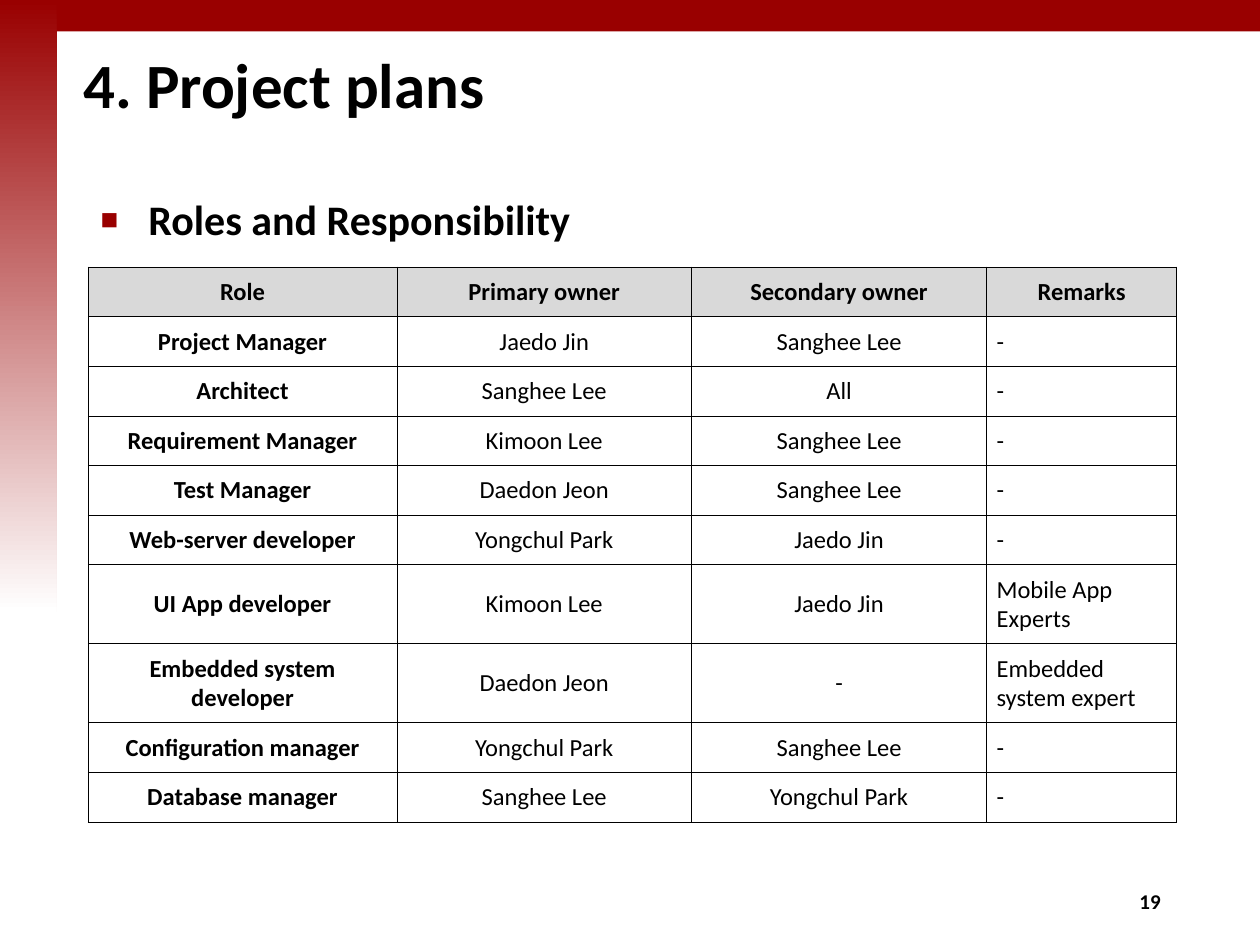
from lxml import etree
from pptx import Presentation
from pptx import util as u
from pptx.dml.color import RGBColor
from pptx.enum import shapes, text
from pptx.oxml import ns

FONT = "Calibri"
RED, BLACK, WHITE, GREY = "990000", "000000", "FFFFFF", "D9D9D9"
LEFT, CONTENT_WIDTH = 0.7, 8.64
COLUMN_WIDTHS = [2.45, 2.34, 2.34, 1.51]
ROW_HEIGHT = 0.36
CELL_MARGIN = 0.08
ROLES = [
    ("Role", "Primary owner", "Secondary owner", "Remarks"),
    ("Project Manager", "Jaedo Jin", "Sanghee Lee", "-"),
    ("Architect", "Sanghee Lee", "All", "-"),
    ("Requirement Manager", "Kimoon Lee", "Sanghee Lee", "-"),
    ("Test Manager", "Daedon Jeon", "Sanghee Lee", "-"),
    ("Web-server developer", "Yongchul Park", "Jaedo Jin", "-"),
    ("UI App developer", "Kimoon Lee", "Jaedo Jin", "Mobile App\nExperts"),
    ("Embedded system\ndeveloper", "Daedon Jeon", "-", "Embedded\nsystem expert"),
    ("Configuration manager", "Yongchul Park", "Sanghee Lee", "-"),
    ("Database manager", "Sanghee Lee", "Yongchul Park", "-"),
]


def rgb(value):
    return RGBColor.from_string(value)


def inches(*values):
    return [u.Inches(v) for v in values]


def add_xml(parent, tag, **attributes):
    return etree.SubElement(parent, ns.qn(tag), attributes)


def write(tf, content, size, bold=True, align=text.PP_ALIGN.LEFT,
          anchor=text.MSO_ANCHOR.TOP):
    """Fill a text frame, one paragraph for each line of content."""
    tf.word_wrap = True
    tf.vertical_anchor = anchor
    for i, line in enumerate(content.split("\n")):
        p = tf.paragraphs[0] if i == 0 else tf.add_paragraph()
        p.alignment = align
        r = p.add_run()
        r.text = line
        r.font.name = FONT
        r.font.size = u.Pt(size)
        r.font.bold = bold
        r.font.color.rgb = rgb(BLACK)


def add_bar(s, box, *colors):
    """Add a borderless bar; two colours make a top-to-bottom gradient."""
    sp = s.shapes.add_shape(shapes.MSO_SHAPE.RECTANGLE, *inches(*box))
    sp.shadow.inherit = False
    sp.line.fill.background()
    if len(colors) == 1:
        sp.fill.solid()
        sp.fill.fore_color.rgb = rgb(colors[0])
    else:
        sp.fill.gradient()
        sp.fill.gradient_angle = 270
        for stop, color in zip(sp.fill.gradient_stops, colors):
            stop.color.rgb = rgb(color)


def set_title(s, content):
    title = s.shapes.title
    title.left, title.top, title.width, title.height = inches(0.43, 0.25, 9.57, 0.83)
    tf = title.text_frame
    write(tf, content, 36, anchor=text.MSO_ANCHOR.MIDDLE)
    tf.auto_size = text.MSO_AUTO_SIZE.NONE
    tf.paragraphs[0]._p.get_or_add_pPr().set("marL", str(u.Inches(0.13)))


def add_text(s, box, content, size, **style):
    sp = s.shapes.add_textbox(*inches(*box))
    write(sp.text_frame, content, size, **style)
    return sp


def add_bullet(p, indent):
    pPr = p._p.get_or_add_pPr()
    pPr.set("marL", str(u.Inches(indent)))
    pPr.set("indent", str(-u.Inches(indent)))
    add_xml(add_xml(pPr, "a:buClr"), "a:srgbClr", val=RED)
    add_xml(pPr, "a:buSzPct", val="70000")
    add_xml(pPr, "a:buFont", typeface="Arial")
    add_xml(pPr, "a:buChar", char="■")


def set_borders(cell):
    tcPr = cell._tc.get_or_add_tcPr()
    for i, side in enumerate(("a:lnL", "a:lnR", "a:lnT", "a:lnB")):
        ln = etree.Element(ns.qn(side), w=str(u.Pt(0.5)))
        add_xml(add_xml(ln, "a:solidFill"), "a:srgbClr", val=BLACK)
        tcPr.insert(i, ln)


def format_cell(cell, content, row, column):
    header = row == 0
    centred = header or column < len(COLUMN_WIDTHS) - 1
    cell.margin_left = cell.margin_right = u.Inches(CELL_MARGIN)
    cell.margin_top = cell.margin_bottom = u.Inches(CELL_MARGIN)
    write(cell.text_frame, content, 14, bold=header or column == 0,
          align=text.PP_ALIGN.CENTER if centred else text.PP_ALIGN.LEFT)
    cell.vertical_anchor = text.MSO_ANCHOR.MIDDLE
    if header:
        cell.fill.solid()
        cell.fill.fore_color.rgb = rgb(GREY)
    else:
        cell.fill.background()
    set_borders(cell)


def add_roles_table(s, top):
    box = inches(LEFT, top, CONTENT_WIDTH, ROW_HEIGHT * len(ROLES))
    table = s.shapes.add_table(len(ROLES), len(COLUMN_WIDTHS), *box).table
    table.horz_banding = False
    for column, width in zip(table.columns, COLUMN_WIDTHS):
        column.width = u.Inches(width)
    for i, row in enumerate(ROLES):
        table.rows[i].height = u.Inches(ROW_HEIGHT)
        for j, content in enumerate(row):
            format_cell(table.cell(i, j), content, i, j)


def main():
    prs = Presentation()
    prs.slide_width, prs.slide_height = inches(10, 7.5)
    s = prs.slides.add_slide(prs.slide_layouts[5])
    add_bar(s, (0, 0, 10, 0.25), RED)
    add_bar(s, (0, 0, 0.45, 4.86), RED, WHITE)
    set_title(s, "4. Project plans")
    heading = add_text(s, (LEFT, 1.49, CONTENT_WIDTH, 5.44),
                       "Roles and Responsibility", 24)
    add_bullet(heading.text_frame.paragraphs[0], 0.38)
    add_text(s, (7.06, 6.95, 2.25, 0.4), "19", 12,
             align=text.PP_ALIGN.RIGHT, anchor=text.MSO_ANCHOR.MIDDLE)
    add_roles_table(s, 2.12)
    prs.save("out.pptx")


if __name__ == "__main__":
    main()
